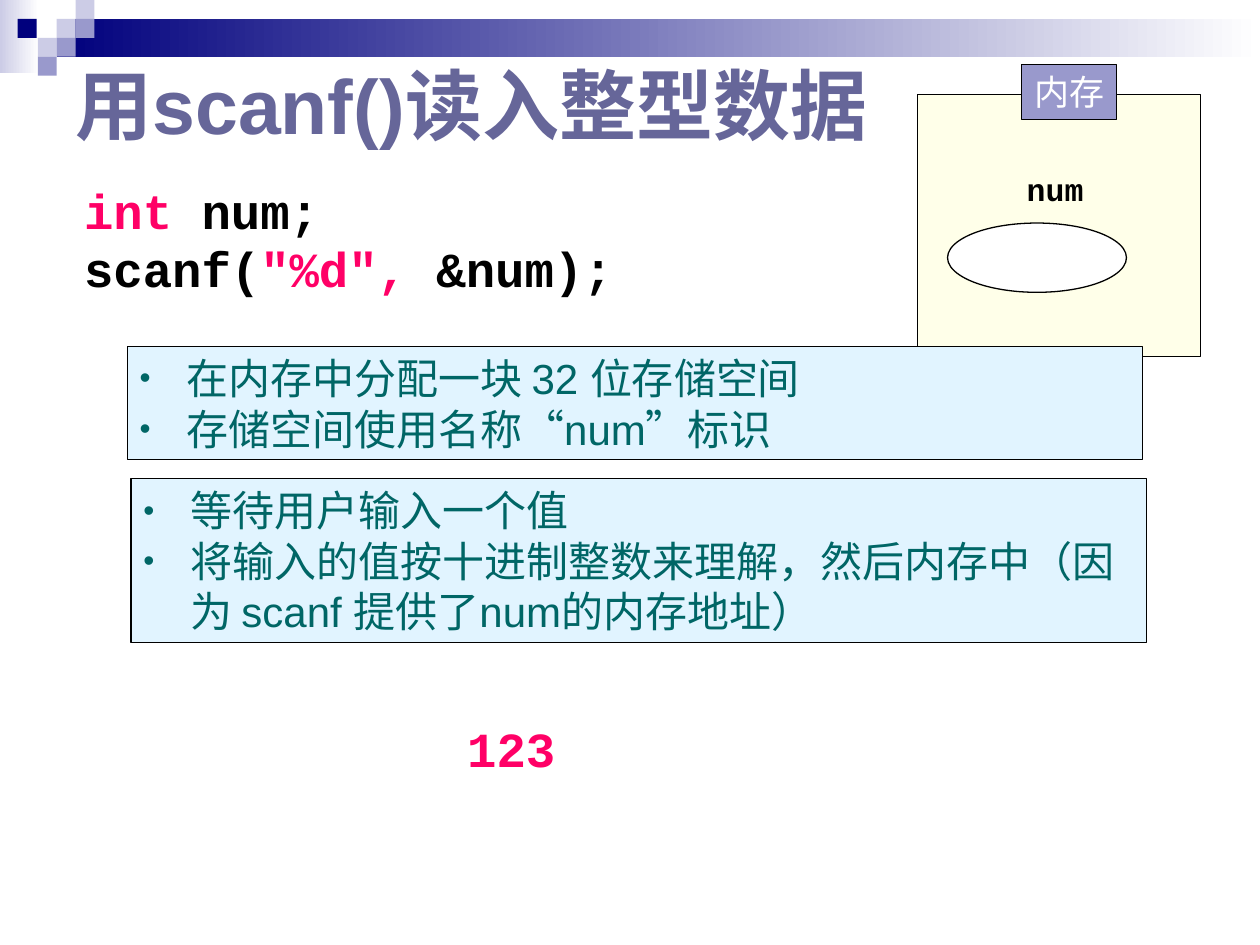
from lxml import etree
from pptx import Presentation
from pptx.dml.color import RGBColor
from pptx.enum.shapes import MSO_SHAPE as Shape
from pptx.enum.text import MSO_ANCHOR as Anchor, PP_ALIGN as Align
from pptx.oxml.ns import qn
from pptx.util import Inches, Pt

NAVY, LILAC, PALE = "00007D", "9999CC", "CCCCE6"
BLACK, WHITE, PINK, TEAL = "000000", "FFFFFF", "FF0066", "006666"


def color(hex_string):
    return RGBColor.from_string(hex_string)


def add_box(kind, place, fill, line=None):
    """Add a flat shape; a pair of fills makes a left-to-right gradient."""
    box = page.shapes.add_shape(kind, *[Inches(value) for value in place])
    box.shadow.inherit = False
    if isinstance(fill, tuple):
        box.fill.gradient()
        box.fill.gradient_angle = 0
        for stop, shade in zip(box.fill.gradient_stops, fill):
            stop.color.rgb = color(shade)
    else:
        box.fill.solid()
        box.fill.fore_color.rgb = color(fill)
    if line:
        box.line.color.rgb = color(line)
        box.line.width = Pt(0.75)
    else:
        box.line.fill.background()
    return box


def write(frame, lines, size, font, bold=False, wrap=False):
    """Fill a frame with paragraphs, each a list of (text, colour) spans."""
    frame.word_wrap = wrap
    for number, spans in enumerate(lines):
        para = frame.paragraphs[0] if number == 0 else frame.add_paragraph()
        para.alignment = Align.LEFT
        for text, shade in spans:
            span = para.add_run()
            span.text = text
            span.font.size = Pt(size)
            span.font.name = font
            span.font.bold = bold
            span.font.color.rgb = color(shade)


deck = Presentation()
deck.slide_width, deck.slide_height = Inches(10), Inches(7.5)
page = deck.slides.add_slide(deck.slide_layouts[6])

# Banner with checkered corner
add_box(Shape.RECTANGLE, (0, 0, 0.31, 0.58), (PALE, WHITE))
add_box(Shape.RECTANGLE, (0.45, 0.15, 9.55, 0.3), (NAVY, WHITE))
squares = [
    (0.45, 0.15, PALE), (0.6, 0, PALE), (0.6, 0.15, LILAC), (0.3, 0.3, PALE),
    (0.14, 0.15, NAVY), (0.45, 0.3, LILAC), (0.3, 0.45, LILAC),
]
for left, top, fill in squares:
    add_box(Shape.RECTANGLE, (left, top, 0.15, 0.15), fill)

# Memory panel, its label and the variable's cell
add_box(Shape.RECTANGLE, (7.28, 0.75, 2.25, 2.08), "FFFFE9", BLACK)
label = add_box(Shape.RECTANGLE, (8.11, 0.51, 0.75, 0.44), LILAC, BLACK)
label.text_frame.vertical_anchor = Anchor.TOP
write(label.text_frame, [[("内存", WHITE)]], 20, "Courier New")
add_box(Shape.OVAL, (7.52, 1.77, 1.42, 0.55), WHITE, BLACK)

# Title, code, variable name and typed value
code = [
    [("int", PINK), (" num;", BLACK)],
    [("scanf(", BLACK), ("\"%d\",", PINK), (" &num);", BLACK)],
]
texts = [
    ((0.5, 0.31, 9.13, 1.02), [[("用scanf()读入整型数据", "666699")]], 44, "Arial", Anchor.MIDDLE),
    ((0.57, 1.38, 4.5, 1.04), code, 28, "Courier New", Anchor.TOP),
    ((8.05, 1.3, 0.65, 0.4), [[("num", BLACK)]], 18, "Courier New", Anchor.TOP),
    ((3.61, 5.65, 1.37, 0.57), [[("123", PINK)]], 28, "Courier New", Anchor.TOP),
]
for place, lines, size, font, anchor in texts:
    box = page.shapes.add_textbox(*[Inches(value) for value in place])
    box.text_frame.vertical_anchor = anchor
    write(box.text_frame, lines, size, font, bold=True)

# Bulleted explanations
notes = [
    ((1.01, 2.75, 8.06, 0.9),
     ["在内存中分配一块 32 位存储空间", "存储空间使用名称“num”标识"]),
    ((1.04, 3.8, 8.06, 1.3),
     ["等待用户输入一个值",
      "将输入的值按十进制整数来理解，然后内存中（因为 scanf 提供了num的内存地址）"]),
]
for place, items in notes:
    box = add_box(Shape.RECTANGLE, place, "E1F4FF", BLACK)
    box.text_frame.vertical_anchor = Anchor.TOP
    write(box.text_frame, [[(item, TEAL)] for item in items], 24, "Arial", wrap=True)
    for para in box.text_frame.paragraphs:
        props = para._p.get_or_add_pPr()
        props.set("marL", str(Inches(0.37)))
        props.set("indent", str(Inches(-0.37)))
        tint = etree.SubElement(props, qn("a:buClr"))
        etree.SubElement(tint, qn("a:srgbClr"), val=TEAL)
        etree.SubElement(props, qn("a:buSzPct"), val="75000")
        etree.SubElement(props, qn("a:buFont"), typeface="Arial")
        etree.SubElement(props, qn("a:buChar"), char="•")

deck.save("out.pptx")
